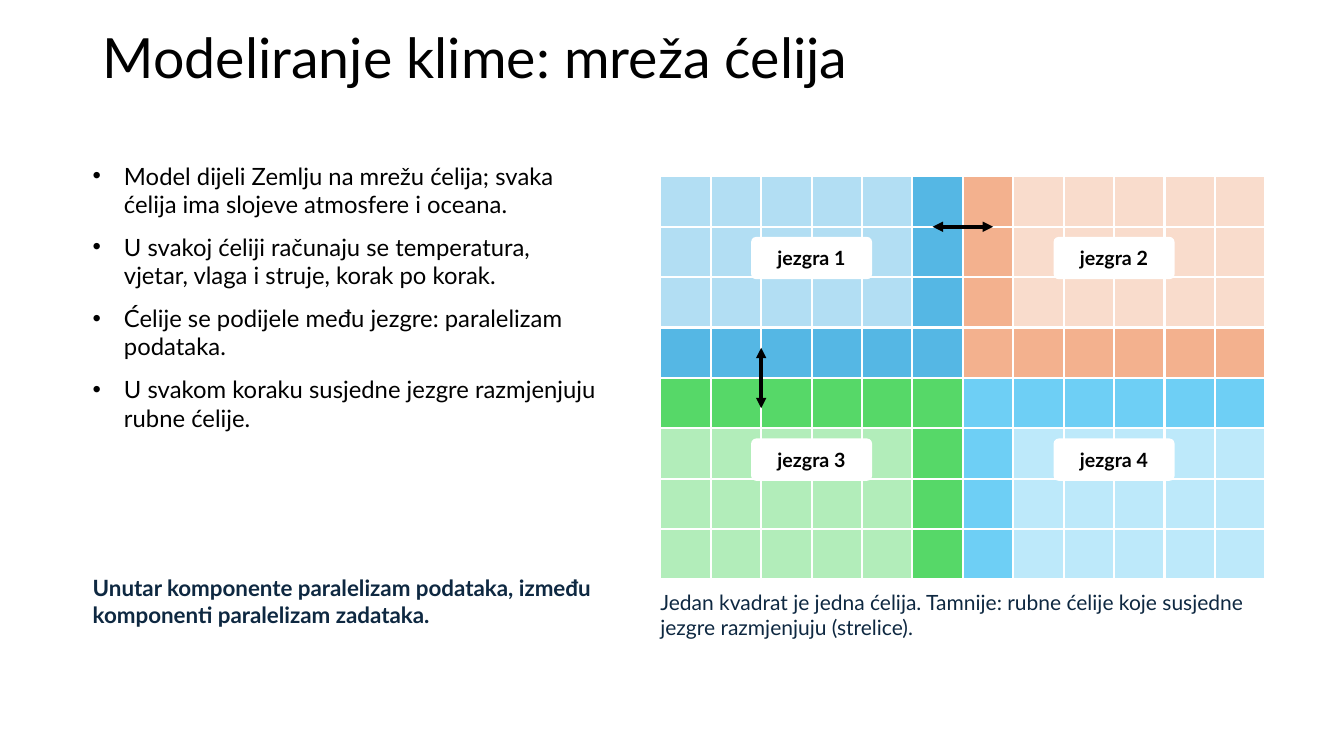
from itertools import product

from lxml.etree import SubElement
from pptx import Presentation
from pptx.dml.color import RGBColor
from pptx.enum.shapes import MSO_CONNECTOR, MSO_SHAPE
from pptx.enum.text import MSO_ANCHOR, MSO_AUTO_SIZE, PP_ALIGN
from pptx.oxml.ns import qn
from pptx.util import Pt

PX = 9144
INK, NAVY, WHITE = "000000", "0E2841", "FFFFFF"


def color(value):
    return RGBColor.from_string(value)


def write(shape, lines, size, ink, bold=False, margins=(0, 0), align=PP_ALIGN.LEFT):
    frame = shape.text_frame
    frame.word_wrap = True
    frame.margin_left = frame.margin_right = margins[0] * PX
    frame.margin_top = frame.margin_bottom = margins[1] * PX
    frame.text = "\n".join(lines)
    for para in frame.paragraphs:
        para.alignment = align
        for span in para.runs:
            span.font.name = "Lato"
            span.font.size = Pt(size)
            span.font.bold = bold
            span.font.color.rgb = color(ink)
    return frame


deck = Presentation()
deck.slide_width, deck.slide_height = 1333 * PX, 750 * PX
page = deck.slides.add_slide(deck.slide_layouts[5])
shapes = page.shapes

title = shapes.title
title.left, title.top, title.width, title.height = 92 * PX, 30 * PX, 1150 * PX, 116 * PX
title_frame = write(title, ["Modeliranje klime: mreža ćelija"], 39.6, INK, margins=(10, 0))
title_frame.auto_size = MSO_AUTO_SIZE.NONE
title_frame.vertical_anchor = MSO_ANCHOR.TOP
title_frame.paragraphs[0].line_spacing = 0.9

points = [
    "Model dijeli Zemlju na mrežu ćelija; svaka ćelija ima slojeve atmosfere i oceana.",
    "U svakoj ćeliji računaju se temperatura, vjetar, vlaga i struje, korak po korak.",
    "Ćelije se podijele među jezgre: paralelizam podataka.",
    "U svakom koraku susjedne jezgre razmjenjuju rubne ćelije.",
]
summary = ["Unutar komponente paralelizam podataka, između komponenti paralelizam zadataka."]
caption = ["Jedan kvadrat je jedna ćelija. Tamnije: rubne ćelije koje susjedne jezgre razmjenjuju (strelice)."]
text_boxes = [
    (92, 160, 500, 400, points, 17, INK, False),
    (92, 570, 500, 120, summary, 16, NAVY, True),
    (655, 585, 600, 100, caption, 15, NAVY, False),
]
for left, top, width, height, lines, size, ink, bold in text_boxes:
    box = shapes.add_textbox(left * PX, top * PX, width * PX, height * PX)
    frame = write(box, lines, size, ink, bold)
    frame.auto_size = MSO_AUTO_SIZE.SHAPE_TO_FIT_TEXT
    if lines is points:
        for para in frame.paragraphs:
            para.space_after = Pt(10)
            properties = para._p.get_or_add_pPr()
            properties.set("marL", str(31 * PX))
            properties.set("indent", str(-31 * PX))
            SubElement(properties, qn("a:buFont"), typeface="Arial")
            SubElement(properties, qn("a:buChar"), char="•")

CELL, GRID_LEFT, GRID_TOP = 50, 655, 175
ROWS, COLUMNS = 8, 12
core_colors = [
    ("B2DEF3", "55B7E4"),
    ("F9DCCC", "F3B18E"),
    ("B2EDBA", "56D868"),
    ("BDE9FA", "6ECFF5"),
]
for row, column in product(range(ROWS), range(COLUMNS)):
    core = 2 * (row >= ROWS // 2) + (column >= COLUMNS // 2)
    on_edge = row in (3, 4) or column in (5, 6)
    cell = shapes.add_shape(MSO_SHAPE.RECTANGLE, (GRID_LEFT + column * CELL) * PX,
                            (GRID_TOP + row * CELL) * PX, CELL * PX, CELL * PX)
    cell.shadow.inherit = False
    cell.fill.solid()
    cell.fill.fore_color.rgb = color(core_colors[core][on_edge])
    cell.line.color.rgb = color(WHITE)
    cell.line.width = Pt(1.5)

for core in range(4):
    label = shapes.add_shape(MSO_SHAPE.ROUNDED_RECTANGLE, (745 + core % 2 * 300) * PX,
                             (235 + core // 2 * 200) * PX, 120 * PX, 42 * PX)
    label.adjustments[0] = 0.12
    label.shadow.inherit = False
    label.fill.solid()
    label.fill.fore_color.rgb = color(WHITE)
    label.line.fill.background()
    frame = write(label, [f"jezgra {core + 1}"], 14, INK, True, (5, 2), PP_ALIGN.CENTER)
    frame.vertical_anchor = MSO_ANCHOR.MIDDLE

for x1, y1, x2, y2 in [(925, 225, 985, 225), (755, 345, 755, 405)]:
    arrow = shapes.add_connector(MSO_CONNECTOR.STRAIGHT, x1 * PX, y1 * PX, x2 * PX, y2 * PX)
    arrow.line.color.rgb = color(INK)
    arrow.line.width = Pt(2.5)
    outline = arrow.line._get_or_add_ln()
    for end in ("a:headEnd", "a:tailEnd"):
        SubElement(outline, qn(end), type="triangle")
    SubElement(arrow._element.spPr, qn("a:effectLst"))

deck.save("out.pptx")
